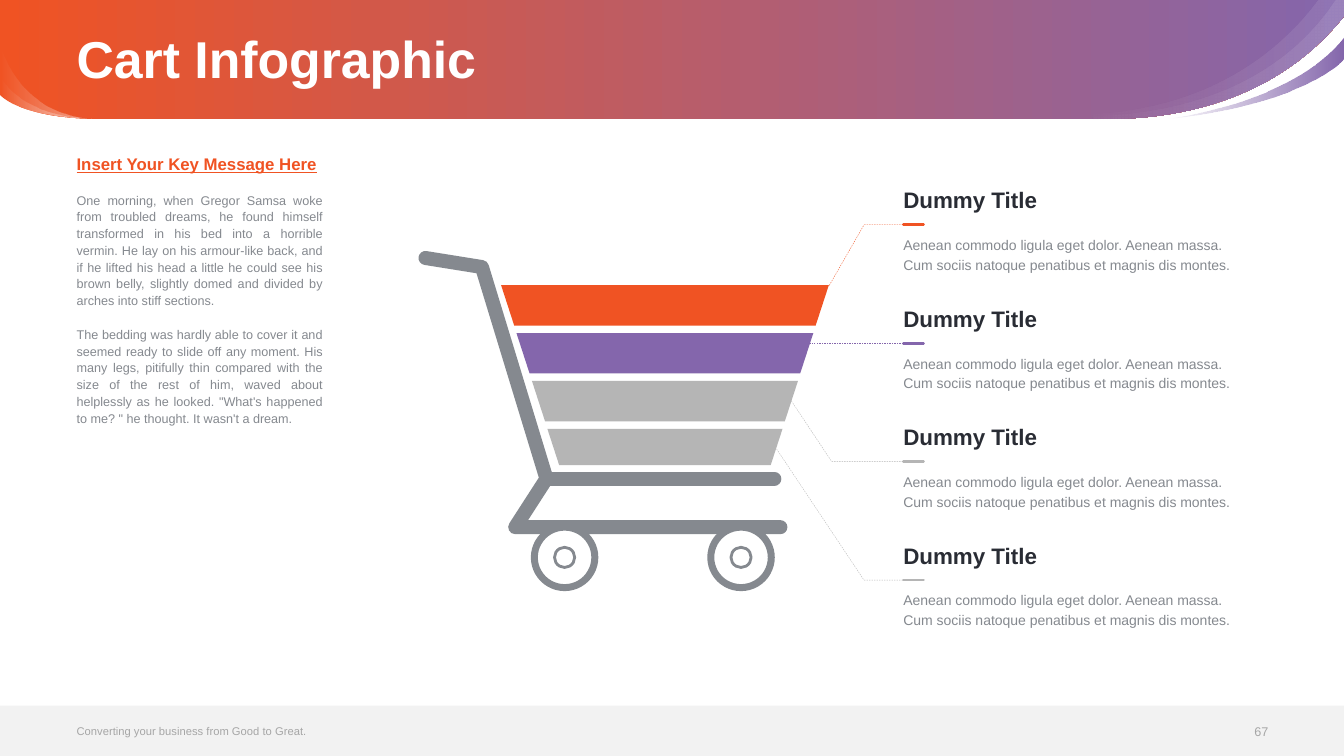
from pptx import Presentation, util as u
from pptx.dml.color import RGBColor
from pptx.enum import dml, shapes, text
from pptx.oxml import ns, xmlchemy

ORANGE, PURPLE, SILVER = "F05323", "8466AC", "B5B5B5"
GREY, DARK, WHITE = "85898F", "292C34", "FFFFFF"
TIERS = [ORANGE, PURPLE, SILVER, SILVER]
LEFT, CENTER, RIGHT, JUST = (text.PP_ALIGN.LEFT, text.PP_ALIGN.CENTER,
                             text.PP_ALIGN.RIGHT, text.PP_ALIGN.JUSTIFY)
MIDDLE, TOP = text.MSO_ANCHOR.MIDDLE, text.MSO_ANCHOR.TOP


def color(code):
    return RGBColor.from_string(code)


def place(item, box):
    item.left, item.top, item.width, item.height = map(u.Inches, box)


def stroke(item, code, width, dash=False, cap=False):
    line = item.line
    line.color.rgb = color(code)
    line.width = u.Pt(width)
    if dash:
        line.dash_style = dml.MSO_LINE.DASH
    if cap:
        pen = item._element.spPr.find(ns.qn("a:ln"))
        pen.set("cap", "rnd")
        pen.append(xmlchemy.OxmlElement("a:round"))


def paint(item, code):
    item.shadow.inherit = False
    item.fill.solid()
    item.fill.fore_color.rgb = color(code)
    item.line.fill.background()


def fade(item, first, last):
    """Fill left to right; each stop is (position, colour, opacity)."""
    item.fill.gradient()
    item.fill.gradient_angle = 0
    marks = item.fill.gradient_stops
    for mark, (spot, code, _) in zip(marks, (first, last)):
        mark.position = spot
        mark.color.rgb = color(code)
    tints = item._element.spPr.iter(ns.qn("a:srgbClr"))
    for tint, (_, _, solid) in zip(tints, (first, last)):
        alpha = xmlchemy.OxmlElement("a:alpha")
        alpha.set("val", str(round(solid * 100000)))
        tint.append(alpha)


def trace(steps, count=32):
    """Turn points (x, y) and cubic curves (six numbers) into points."""
    dots = []
    for step in steps:
        if len(step) == 2:
            dots.append(step)
            continue
        ends = [dots[-1], step[:2], step[2:4], step[4:]]
        for n in range(1, count + 1):
            t = n / count
            rates = ((1 - t) ** 3, 3 * t * (1 - t) ** 2, 3 * t * t * (1 - t), t ** 3)
            dots.append(tuple(sum(r * e[i] for r, e in zip(rates, ends)) for i in (0, 1)))
    return dots


def outline(slide, *parts, close=True):
    runs = [[(u.Inches(x), u.Inches(y)) for x, y in part] for part in parts]
    pen = slide.shapes.build_freeform(*runs[0][0], scale=1.0)
    pen.add_line_segments(runs[0][1:], close=close)
    for run in runs[1:]:
        pen.move_to(*run[0])
        pen.add_line_segments(run[1:], close=close)
    item = pen.convert_to_shape()
    item.shadow.inherit = False
    (item.line if close else item).fill.background()
    return item


def join(slide, start, end, code, width, **look):
    item = slide.shapes.add_connector(
        shapes.MSO_CONNECTOR.STRAIGHT, *map(u.Inches, (*start, *end)))
    stroke(item, code, width, **look)
    item._element.spPr.append(xmlchemy.OxmlElement("a:effectLst"))


def write(item, lines, align=LEFT, anchor=TOP, pitch=None, gap=0):
    """Each line is (words, size, colour, bold, underline)."""
    frame = item.text_frame
    frame.word_wrap = True
    frame.auto_size = text.MSO_AUTO_SIZE.NONE
    frame.vertical_anchor = anchor
    frame.margin_left = frame.margin_right = frame.margin_top = frame.margin_bottom = 0
    for n, (words, size, code, bold, under) in enumerate(lines):
        para = frame.paragraphs[0] if n == 0 else frame.add_paragraph()
        para.alignment = align
        para.space_before = u.Pt(0)
        para.space_after = u.Pt(gap)
        if pitch:
            para.line_spacing = pitch
        run = para.add_run()
        run.text = words
        font = run.font
        font.name, font.size, font.bold, font.underline = "Arial", u.Pt(size), bold, under
        font.color.rgb = color(code)


def label(slide, box, lines, **look):
    item = slide.shapes.add_textbox(*map(u.Inches, box))
    write(item, lines, **look)


def header(slide, box):
    x, y, w, h = box
    r, b = x + w, y + h
    # Coloured band
    band = [(r, y), (r, 0.16), (12.66, 1, 11.7, 1.17, 11.05, b), (0.97, b),
            (0.18, 1.17, x, 0.94, x, 0.94), (x, y)]
    fade(outline(slide, trace(band)), (0, ORANGE, 1), (1, PURPLE, 1))
    # Sweeps on the right
    glow = (0.15, WHITE, 0), (1, WHITE, 0.1)
    sweeps = [
        ([(r, y), (r, 0.16), (12.24, 1.53, 10.39, 1.13, 10.34, 1.12),
          (10.4, 1.12, 12.32, 1.39, 13.24, y)], glow),
        ([(11.57, b), (11.57, b, 12.82, 1.03, r, 0.37), (r, 0.59),
          (r, 0.59, 12.94, 1.04, 11.57, b)], ((0, PURPLE, 0), (1, PURPLE, 1))),
        ([(r, y), (r, 0.16), (12.23, 1.55, 10.34, 1.12, 10.34, 1.12),
          (11.89, 1.22, 12.7, 0.5, 13.07, y)], glow)]
    # Sweeps on the left
    for top in (0.76, 0.45):
        sweeps.append(([(0.98, b), (0.18, 1.17, x, 0.94, x, 0.94), (x, top),
                        (x, top, 0.18, 1.17, 0.98, b)], ((0, WHITE, 0), (1, WHITE, 0.5))))
    for steps, stops in sweeps:
        fade(outline(slide, trace(steps)), *stops)
    # Title in front of the band
    title = slide.shapes.title
    slide.shapes._spTree.append(title._element)
    place(title, (x + 0.76, y + 0.05, 11.81, 1.13))
    write(title, [("Cart Infographic", 37, WHITE, True, False)], anchor=MIDDLE, pitch=0.9)


def message(slide, box):
    body = slide.placeholders[1]
    place(body, box)
    write(body, [
        ("Insert Your Key Message Here", 12, ORANGE, True, True),
        ("One morning, when Gregor Samsa woke from troubled dreams, he found himself "
         "transformed in his bed into a horrible vermin. He lay on his armour-like back, "
         "and if he lifted his head a little he could see his brown belly, slightly domed "
         "and divided by arches into stiff sections.", 9, GREY, False, False),
        ("The bedding was hardly able to cover it and seemed ready to slide off any moment. "
         "His many legs, pitifully thin compared with the size of the rest of him, waved "
         "about helplessly as he looked. \"What's happened to me? \" he thought. "
         "It wasn't a dream.", 9, GREY, False, False),
    ], align=JUST, pitch=u.Pt(12), gap=12)
    for para in body.text_frame.paragraphs:
        props = para._p.get_or_add_pPr()
        props.set("marL", "0")
        props.set("indent", "0")
        props.append(xmlchemy.OxmlElement("a:buNone"))


def cart(slide, box):
    x, y, w, h = box
    # Goods in the basket
    for n, code in enumerate(TIERS):
        left, right, top = x + 0.83 + 0.153 * n, x + 4.08 - 0.153 * n, y + 0.34 + 0.475 * n
        deep = 0.36 if n == 3 else 0.4
        skew = deep * 0.325
        paint(outline(slide, [(left, top), (right, top), (right - skew, top + deep),
                              (left + skew, top + deep)]), code)
    # Frame
    bend = (x + 1.28, y + 2.26)
    tube = [(x + 0.08, y + 0.07), (x + 0.64, y + 0.16), bend,
            (x + 0.97, y + 2.74), (x + 3.6, y + 2.74)]
    frame = outline(slide, tube, [bend, (x + 3.54, y + 2.26)], close=False)
    stroke(frame, GREY, 10, cap=True)
    # Wheels
    for mid in (x + 1.46, x + 3.21):
        for rad, width in ((0.3, 5), (0.1, 2)):
            ring = slide.shapes.add_shape(shapes.MSO_SHAPE.OVAL, *map(
                u.Inches, (mid - rad, y + 3.04 - rad, 2 * rad, 2 * rad)))
            paint(ring, WHITE)
            stroke(ring, GREY, width)


def callout(slide, box, code, knee, tip):
    x, y, w, h = box
    rule = y + 0.38
    # Leader to the goods
    start = (x + 0.17, rule)
    if knee:
        leader = outline(slide, [start, (knee, rule), tip], close=False)
        stroke(leader, code, 0.25, dash=True)
    else:
        join(slide, start, (tip[0], rule), code, 0.25, dash=True)
    # Heading, rule and text
    label(slide, (x, y, w, 0.27), [("Dummy Title", 16, DARK, True, False)])
    join(slide, (x, rule), (x + 0.2, rule), code, 2, cap=True)
    label(slide, (x, y + 0.47, w, 0.39), [
        (words, 10, GREY, False, False) for words in (
            "Aenean commodo ligula eget dolor. Aenean massa.",
            "Cum sociis natoque penatibus et magnis dis montes.")], pitch=u.Pt(14))


def footer(slide, box):
    x, y, w, h = box
    bar = slide.shapes.add_shape(shapes.MSO_SHAPE.RECTANGLE, *map(u.Inches, box))
    paint(bar, "F2F2F2")
    label(slide, (x + 0.76, y + 0.12, 5.23, 0.26),
          [("Converting your business from Good to Great.", 8, "A6A6A6", False, False)],
          anchor=MIDDLE)
    label(slide, (x + 11.95, y + 0.13, 0.63, 0.26), [("67", 9, "A6A6A6", False, False)],
          align=RIGHT, anchor=MIDDLE)


def main():
    deck = Presentation()
    deck.slide_width, deck.slide_height = u.Inches(13.33), u.Inches(7.5)
    slide = deck.slides.add_slide(deck.slide_layouts[1])
    header(slide, (0, 0, 13.33, 1.18))
    message(slide, (0.76, 1.56, 2.44, 5.19))
    footer(slide, (0, 7, 13.33, 0.5))
    cart(slide, (4.14, 2.49, 3.67, 3.37))
    leads = [(8.57, (8.22, 2.84)), (None, (8.03, 3.41)),
             (8.25, (7.85, 3.98)), (8.57, (7.7, 4.45))]
    for n, (code, (knee, tip)) in enumerate(zip(TIERS, leads)):
        callout(slide, (8.96, 1.85 + 1.175 * n, 3.69, 0.86), code, knee, tip)
    deck.save("out.pptx")


if __name__ == "__main__":
    main()
